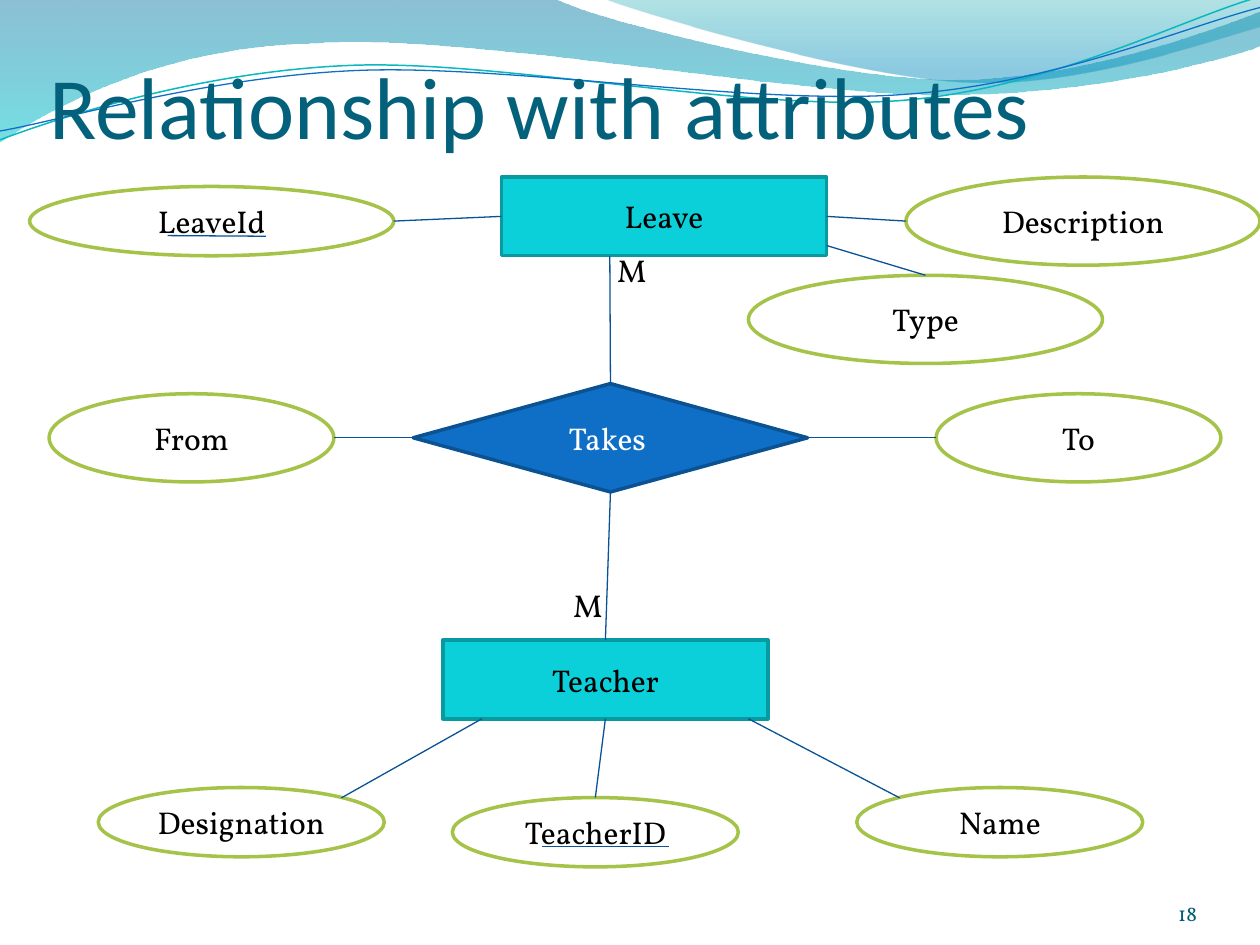
import pptx
import pptx.util
import pptx.dml.color
import pptx.enum.shapes
import pptx.enum.text
import pptx.oxml
import pptx.oxml.ns
import lxml.etree

RGB = pptx.dml.color.RGBColor
KIND = pptx.enum.shapes.MSO_SHAPE
ALIGN = pptx.enum.text.PP_ALIGN
ANCHOR = pptx.enum.text.MSO_ANCHOR
Pt = pptx.util.Pt
qn = pptx.oxml.ns.qn

BLACK = RGB(0x00, 0x00, 0x00)
WHITE = RGB(0xFF, 0xFF, 0xFF)
TITLE = RGB(0x04, 0x61, 0x7B)
PAGE = RGB(0x04, 0x5D, 0x75)
CYAN = RGB(0x0B, 0xD0, 0xD9)
TEAL = RGB(0x08, 0x9A, 0xA1)
BLUE = RGB(0x0F, 0x6F, 0xC6)
NAVY = RGB(0x0B, 0x52, 0x92)
LINK = RGB(0x09, 0x52, 0x95)
GREEN = RGB(0xA5, 0xC2, 0x49)
CURVE = RGB(0x0A, 0xB8, 0xBF)
DEEP = RGB(0x00, 0x74, 0xA1)
AQUA = RGB(0x00, 0xC6, 0xCF)
SEA = RGB(0x00, 0xA1, 0xA9)
SKY = RGB(0x00, 0x8B, 0xBF)

# The slide is a grid of 100 columns and 75 rows.
UNIT = pptx.util.Inches(0.1)

deck = pptx.Presentation()
deck.slide_width, deck.slide_height = 100 * UNIT, 75 * UNIT
slide = deck.slides.add_slide(deck.slide_layouts[6])
shapes = slide.shapes


def emu(*sizes):
    """Turn grid sizes into lengths."""
    return [round(size * UNIT) for size in sizes]


def write(shape, text, size, color, font="Vollkorn", align=ALIGN.CENTER):
    """Set and format the one line of text of a shape."""
    para = shape.text_frame.paragraphs[0]
    para.text = text
    para.alignment = align
    face = para.runs[0].font
    face.name, face.size, face.color.rgb = font, Pt(size), color


def label(box, text, size, color, top=0, **style):
    """Add a wrapped text box, set to the bottom, without side insets."""
    shape = shapes.add_textbox(*emu(*box))
    frame = shape.text_frame
    frame.word_wrap, frame.vertical_anchor = True, ANCHOR.BOTTOM
    frame.margin_left = frame.margin_right = frame.margin_bottom = 0
    frame.margin_top = emu(top)[0]
    write(shape, text, size, color, **style)


def many(left, top):
    """Add the mark for the many side of a relationship."""
    shape = shapes.add_textbox(*emu(left, top, 4.3, 4))
    shape.text_frame.word_wrap = False
    write(shape, "M", 18, BLACK, align=ALIGN.LEFT)


def node(kind, box, text, fill, edge, color=BLACK):
    """Add an outlined shape with centred text."""
    shape = shapes.add_shape(kind, *emu(*box))
    shape.shadow.inherit = False
    shape.fill.solid()
    shape.fill.fore_color.rgb = fill
    shape.line.color.rgb, shape.line.width = edge, Pt(2)
    shape.text_frame.word_wrap = True
    shape.text_frame.vertical_anchor = ANCHOR.MIDDLE
    write(shape, text, 18, color)
    return shape


def entity(left, top, text):
    """Add an entity box."""
    return node(KIND.RECTANGLE, (left, top, 25.8, 6.25), text, CYAN, TEAL)


def oval(left, top, wide, high, text):
    """Add an attribute oval."""
    return node(KIND.OVAL, (left, top, wide, high), text, WHITE, GREEN)


def line(*ends):
    """Draw a thin straight line between two points."""
    wire = shapes.add_connector(pptx.enum.shapes.MSO_CONNECTOR.STRAIGHT, *ends)
    wire.line.color.rgb, wire.line.width = LINK, Pt(0.75)
    wire._element.spPr.append(pptx.oxml.parse_xml(
        "<a:effectLst %s/>" % pptx.oxml.ns.nsdecls("a")))


def link(first, start, last, end):
    """Join two shapes at points given as shares of their size."""
    spots = []
    for shape, (across, down) in ((first, start), (last, end)):
        spots += [round(shape.left + across * shape.width),
                  round(shape.top + down * shape.height)]
    line(*spots)


def trace(start, parts, close):
    """Draw an outline; a part of three points is a cubic curve."""
    pen = shapes.build_freeform(*emu(*start), scale=1.0)
    pen.add_line_segments([emu(*spot) for part in parts for spot in part],
                          close=close)
    shape = pen.convert_to_shape()
    shape.shadow.inherit = False
    steps = iter(list(shape._element.iter(qn("a:lnTo"))))
    for part in parts:
        group = [next(steps) for _ in part]
        if len(group) == 3:
            curve = lxml.etree.Element(qn("a:cubicBezTo"))
            group[0].addprevious(curve)
            for step in group:
                curve.append(step[0])
                step.getparent().remove(step)
    return shape


def wave(start, parts, stops):
    """Draw a see-through wave shaded from top to bottom."""
    shape = trace(start, parts, True)
    shape.line.fill.background()
    shape.fill.gradient()
    shape.fill.gradient_angle = 270
    for stop, (place, color, alpha) in zip(shape.fill.gradient_stops, stops):
        stop.position, stop.color.rgb = place, color
        tint = stop._gs.find(".//" + qn("a:srgbClr"))
        tint.append(pptx.oxml.parse_xml('<a:alpha %s val="%d"/>' % (
            pptx.oxml.ns.nsdecls("a"), alpha * 1000)))


def strand(start, parts, color, width):
    """Draw a thin curved line."""
    shape = trace(start, parts, False)
    shape.fill.background()
    shape.line.color.rgb, shape.line.width = color, Pt(width)


def banner():
    """Draw the waves along the top edge."""
    wave((0, 0), [
        [(44, -0.1)], [(47.6, 1.7), (66.4, 6.3), (75.8, 6.3)],
        [(85.3, 6.3), (95.8, 2.6), (100, 0.9)], [(100.1, 3.6)],
        [(98.3, 4.4), (87, 7.6), (74.6, 7.5)],
        [(62.2, 7.5), (38.2, 2.8), (25.7, 3.4)],
        [(12.9, 3.6), (4.6, 8.3), (-0.1, 11.3)],
    ], [(0, DEEP, 45), (1, AQUA, 55)])
    wave((47.9, -0.1), [
        [(50.9, 1.1), (68.2, 6.2), (76.9, 6.5)],
        [(85.6, 6.9), (96.1, 3.2), (100, 2.1)], [(100, 0)],
    ], [(0, SEA, 30), (0.8, SKY, 45)])
    strand((0, 11.1), [
        [(4.8, 9.3), (15.8, 5.7), (27.7, 5.2)],
        [(39.5, 4.7), (59.3, 8.9), (71.3, 8)],
        [(83.3, 7.1), (93.8, 1.5), (99.8, -0.2)]], CURVE, 0.85)
    strand((0, 10.4), [
        [(4.7, 9.6), (16.4, 6.1), (28.3, 5.6)],
        [(40.3, 5.1), (59.7, 8.4), (71.7, 7.5)],
        [(83.6, 6.7), (94.1, 2.1), (100, 0.6)]], BLUE, 0.75)


def leave(left, top):
    """Place the Leave entity with its attributes."""
    box = entity(left + 39.8, top, "Leave")
    key = oval(left + 2.35, top + 0.75, 28.9, 5.5, "LeaveId")
    note = oval(left + 71.9, top, 28.1, 7, "Description")
    sort = oval(left + 59.4, top + 7.8, 28.1, 7, "Type")
    link(key, (1, 0.5), box, (0, 0.5))
    link(box, (1, 0.5), note, (0, 0.5))
    link(box, (1, 0.87), sort, (0.5, 0))
    line(*emu(left + 13.3, top + 4.65, left + 21.1, top + 4.7))
    many(left + 48, top + 5.4)
    return box


def takes(left, top):
    """Place the Takes relationship with its attributes."""
    gem = node(KIND.DIAMOND, (left + 32.8, top, 31.3, 8.6), "Takes ",
               BLUE, NAVY, WHITE)
    since = oval(left + 3.9, top + 0.8, 22.6, 7, "From")
    until = oval(left + 74.3, top + 0.8, 22.6, 7, "To")
    link(gem, (0, 0.5), since, (1, 0.5))
    link(gem, (1, 0.5), until, (0, 0.5))
    return gem


def teacher(left, top):
    """Place the Teacher entity with its attributes."""
    box = entity(left + 35.15, top, "Teacher")
    for text, across, down, start, end in (
            ("Designation", 7.8, 11.7, 0.12, (0.85, 0.15)),
            ("TeacherID", 35.9, 12.5, 0.5, (0.5, 0)),
            ("Name", 68, 11.7, 0.94, (0.15, 0.15))):
        part = oval(left + across, top + down, 22.7, 5.5, text)
        link(box, (start, 1), part, end)
    line(*emu(left + 53.1, top + 16.4, left + 43, top + 16.4))
    many(left + 44.5, top - 4.8)
    return box


banner()
label((3.9, 2.3, 90, 10.2), "Relationship with attributes", 50, TITLE,
      top=0.5, font="Calibri", align=ALIGN.LEFT)
source = leave(0, 14.05)
bond = takes(0, 30.45)
target = teacher(0, 50.8)
link(bond, (0.5, 0), source, (1 / 3, 1))
link(bond, (0.5, 1), target, (0.5, 0))
label((86.7, 69.5, 8.3, 4), "18", 12, PAGE, align=ALIGN.RIGHT)
deck.save("out.pptx")
